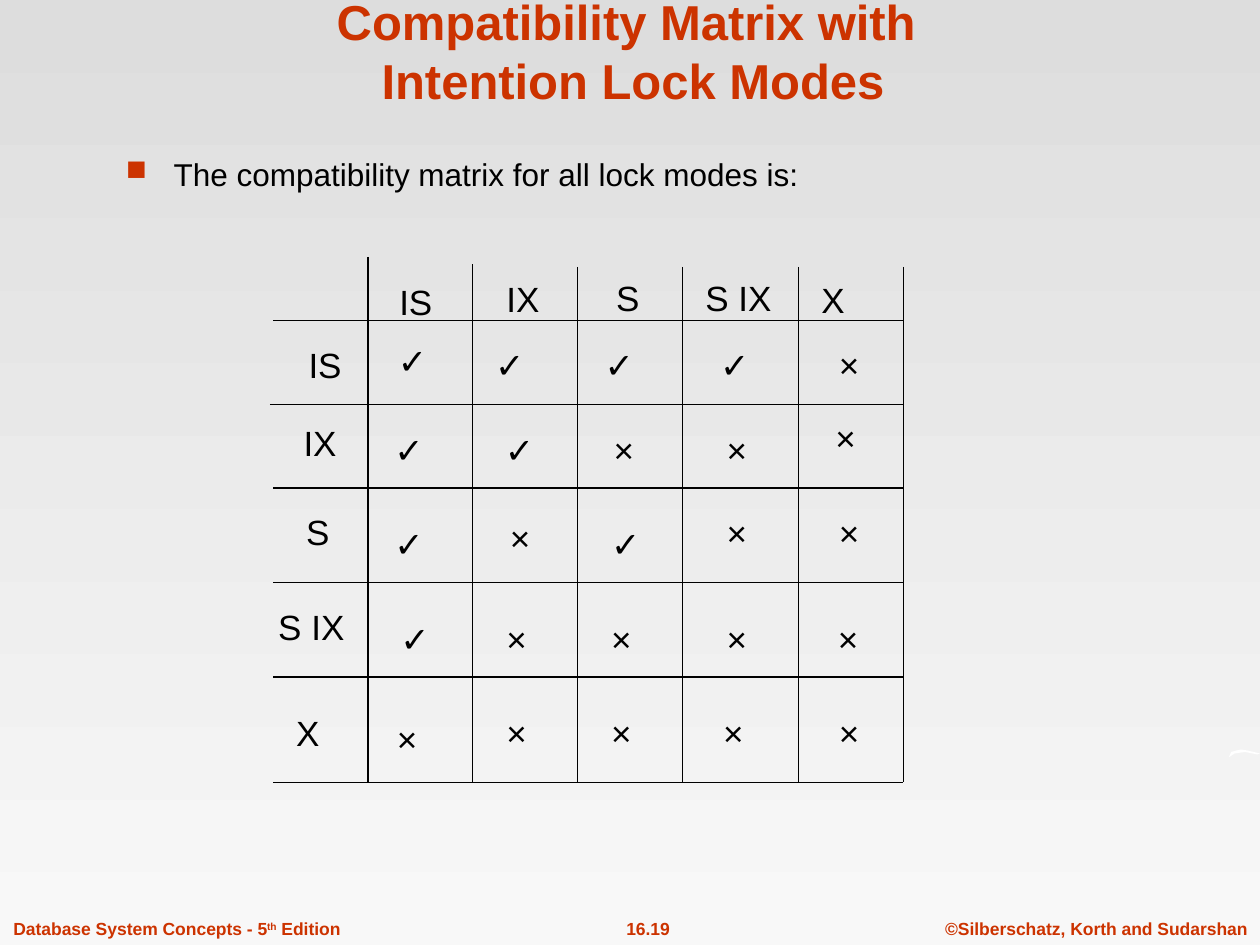
from lxml import etree
from pptx import Presentation
from pptx import util as u
from pptx.dml.color import RGBColor
from pptx.enum import shapes, text
from pptx.oxml.ns import qn

RED, BLACK, WHITE = "CC3300", "000000", "FFFFFF"
LEFT, MID = text.PP_ALIGN.LEFT, text.PP_ALIGN.CENTER

# Lock modes with the place of each head, in cm
MODES = ["IS", "IX", "S", "S IX", "X"]
WIDTH = {"IS": 1.17, "IX": 1.17, "S": 0.97, "S IX": 2.1, "X": 1.17,
         "✓": 1.09, "×": 1.07}
HEADS = [(7.8, 5.54), (9.96, 5.46), (12.17, 5.44), (13.97, 5.44), (16.31, 5.49)]
SIDES = [(5.97, 6.81), (5.87, 8.38), (5.92, 10.16), (5.36, 12.09), (5.72, 14.22)]

# One row per lock mode: marks, then the left and top of each mark
MARKS = [
    ("✓✓✓✓×", [7.77, 9.73, 11.94, 14.27, 16.66], [6.71, 6.81, 6.81, 6.81, 6.81]),
    ("✓✓×××", [7.7, 9.93, 12.12, 14.4, 16.59], [8.51, 8.51, 8.51, 8.51, 8.28]),
    ("✓×✓××", [7.7, 10.03, 12.07, 14.4, 16.66], [10.41, 10.29, 10.41, 10.19, 10.19]),
    ("✓××××", [7.82, 9.96, 12.07, 14.4, 16.64], [12.32] * 5),
    ("×××××", [7.75, 9.96, 12.07, 14.33, 16.66], [14.33] + [14.22] * 4),
]

# Rules of the matrix: (x, top) and (y, left)
COLS = [(7.42, 5.18), (9.53, 5.33), (11.64, 5.38), (13.76, 5.38),
        (16.09, 5.38), (18.21, 5.38)]
ROWS = [(6.46, 5.51), (8.15, 5.44), (9.84, 5.51), (11.74, 5.51),
        (13.65, 5.51), (15.77, 5.51)]
RIGHT, BASE = 18.21, 15.77

SWOOSH = [(24.77, 15.27), (24.82, 15.16), (24.92, 15.13), (25.02, 15.11),
          (25.15, 15.13), (25.4, 15.19), (25.35, 15.21), (25.1, 15.16),
          (24.89, 15.19)]


def tint(code):
    return RGBColor.from_string(code)


def bullet(para, mark, color, size, dent):
    props = para._p.get_or_add_pPr()
    props.set("marL", str(u.Cm(dent)))
    props.set("indent", str(-u.Cm(dent)))
    hue = etree.SubElement(props, qn("a:buClr"))
    etree.SubElement(hue, qn("a:srgbClr")).set("val", color)
    etree.SubElement(props, qn("a:buSzPct")).set("val", str(size * 1000))
    etree.SubElement(props, qn("a:buChar")).set("char", mark)


def write(para, words, size=20, color=BLACK, bold=False, lift=0):
    """Add words to a paragraph; lift is the raise in percent."""
    run = para.add_run()
    run.text = words
    font = run.font
    font.name, font.size, font.bold = "Arial", u.Pt(size), bold
    font.color.rgb = tint(color)
    if lift:
        run._r.get_or_add_rPr().set("baseline", str(lift * 1000))


def label(parent, words, x, y, w, h, align=LEFT, wrap=False,
          anchor=text.MSO_ANCHOR.TOP, **form):
    box = parent.add_textbox(u.Cm(x), u.Cm(y), u.Cm(w), u.Cm(h))
    frame = box.text_frame
    frame.word_wrap = wrap
    fit = text.MSO_AUTO_SIZE
    frame.auto_size = fit.NONE if wrap else fit.SHAPE_TO_FIT_TEXT
    frame.vertical_anchor = anchor
    para = frame.paragraphs[0]
    para.alignment = align
    for num, line in enumerate(words.split("\n")):
        if num:
            para.add_line_break()
        write(para, line, **form)
    return para


def rule(parent, x1, y1, x2, y2):
    line = parent.add_connector(shapes.MSO_CONNECTOR.STRAIGHT,
                                u.Cm(x1), u.Cm(y1), u.Cm(x2), u.Cm(y2))
    line.line.color.rgb = tint(BLACK)
    line.line.width = u.Pt(0.75)
    etree.SubElement(line._element.spPr, qn("a:effectLst"))


def swoosh(parent):
    dots = [(u.Cm(x), u.Cm(y)) for x, y in SWOOSH]
    pen = parent.build_freeform(*dots[0])
    pen.add_line_segments(dots[1:], close=True)
    shape = pen.convert_to_shape()
    shape.shadow.inherit = False
    shape.fill.solid()
    shape.fill.fore_color.rgb = tint(WHITE)
    shape.line.fill.background()


def paint(slide):
    fill = slide.background.fill
    fill.gradient()
    fill.gradient_angle = 270
    for stop, code in zip(fill.gradient_stops, ("DDDDDD", "F8F8F8")):
        stop.color.rgb = tint(code)


def footer(parent):
    form = dict(size=10, color=RED, bold=True)
    label(parent, "©Silberschatz, Korth and Sudarshan",
          18.7, 18.38, 6.8, 0.69, align=MID, **form)
    label(parent, "16.19", 11.72, 18.38, 2.69, 0.69, align=MID, **form)
    para = label(parent, "Database System Concepts - 5",
                 0.02, 18.38, 7.8, 0.69, **form)
    write(para, "th", lift=30, **form)
    write(para, " Edition", **form)


def matrix(parent):
    for x, top in COLS:
        rule(parent, x, top, x, BASE)
    for y, left in ROWS:
        rule(parent, left, y, RIGHT, y)
    cells = list(zip(MODES * 2, HEADS + SIDES))
    for marks, xs, ys in MARKS:
        cells += zip(marks, zip(xs, ys))
    for word, (x, y) in cells:
        label(parent, word, x, y, WIDTH[word], 1.12)


def main():
    deck = Presentation()
    deck.slide_width, deck.slide_height = u.Cm(25.4), u.Cm(19.05)
    slide = deck.slides.add_slide(deck.slide_layouts[6])
    parts = slide.shapes

    # Backdrop and footer
    paint(slide)
    footer(parts)
    swoosh(parts)

    # Title and lead line
    label(parts, "Compatibility Matrix with\n Intention Lock Modes",
          0.46, 0.62, 24.33, 1.7, align=MID, wrap=True,
          anchor=text.MSO_ANCHOR.BOTTOM, size=28, color=RED, bold=True)
    lead = label(parts, "The compatibility matrix for all lock modes is:",
                 2.29, 3.0, 21.79, 12.27, wrap=True, size=18)
    bullet(lead, "■", RED, 90, 0.96)

    # Lock matrix
    matrix(parts.add_group_shape().shapes)
    deck.save("out.pptx")


if __name__ == "__main__":
    main()
